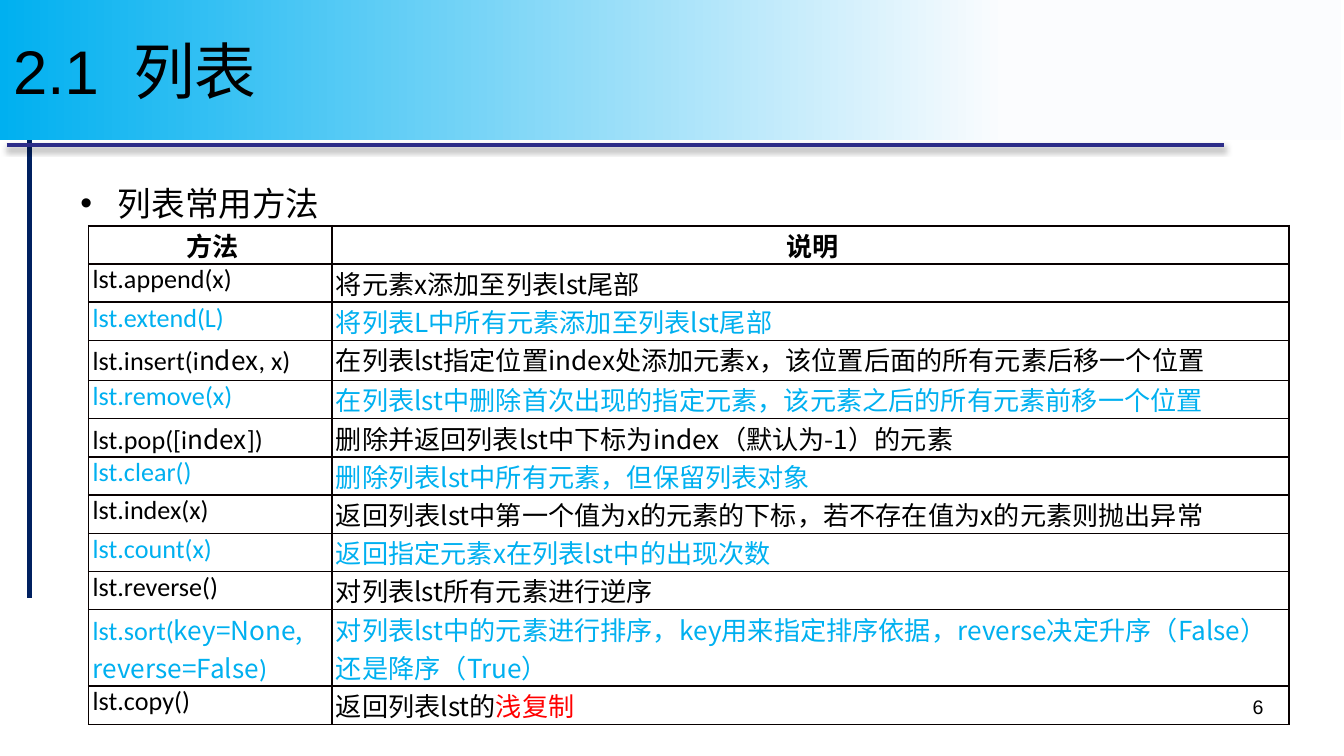
from dataclasses import dataclass
from typing import NamedTuple

from lxml import etree
from pptx import Presentation
from pptx.dml.color import RGBColor
from pptx.enum.shapes import MSO_CONNECTOR, MSO_SHAPE
from pptx.enum.text import MSO_ANCHOR, PP_ALIGN
from pptx.oxml.ns import qn
from pptx.util import Emu, Inches, Pt

LEFT, CENTER, RIGHT = PP_ALIGN.LEFT, PP_ALIGN.CENTER, PP_ALIGN.RIGHT
TOP, MIDDLE = MSO_ANCHOR.TOP, MSO_ANCHOR.MIDDLE
RECTANGLE, STRAIGHT = MSO_SHAPE.RECTANGLE, MSO_CONNECTOR.STRAIGHT


@dataclass(frozen=True)
class Theme:
    """Colours, fonts and type sizes of the slide."""

    ink: str = "000000"
    accent: str = "00B0F0"
    warning: str = "FF0000"
    pale: str = "FBFCFE"
    navy: str = "002060"
    rule: str = "2D2D89"
    border: str = "080000"
    sans: str = "Arial"
    code: str = "Calibri"
    cjk: str = "Noto Sans CJK SC"
    title_size: float = 33
    body_size: float = 18
    table_size: float = 14
    number_size: float = 10.5


class Box(NamedTuple):
    """A rectangle in inches."""

    left: float
    top: float
    width: float
    height: float


class Span(NamedTuple):
    """A piece of text with its font and an optional colour of its own."""

    text: str
    font: str
    color: str | None = None


class Method(NamedTuple):
    """A table row: the call, its explanation and its height in text lines."""

    call: tuple[Span, ...]
    meaning: tuple[Span, ...]
    lines: float = 1


class Rule(NamedTuple):
    """A straight line in inches."""

    start: tuple[float, float]
    end: tuple[float, float]
    color: str
    shadow: bool = False


THEME = Theme()
SLIDE_WIDTH = 10
SLIDE_HEIGHT = SLIDE_WIDTH * 9 / 16
TITLE_BOX = Box(0, 0, 9.98, 1.04)
BODY_BOX = Box(0.5, 1.31, 9, 3.71)
TABLE_BOX = Box(0.66, 1.68, 8.93, 3.71)
NUMBER_BOX = Box(7.17, 5.12, 2.33, 0.39)
COLUMNS = (1.81, 7.12)
RULES = (
    Rule((0.22, 0.81), (0.22, 4.45), THEME.navy),
    Rule((0.05, 1.08), (9.11, 1.08), THEME.rule, shadow=True),
)


def code(text: str) -> Span:
    """Return a span in the code font."""
    return Span(text, THEME.code)


def plain(text: str, color: str | None = None) -> Span:
    """Return a span in the Chinese font."""
    return Span(text, THEME.cjk, color)


METHODS = (
    Method((plain("方法"),), (plain("说明"),)),
    Method((code("lst.append(x)"),), (plain("将元素x添加至列表lst尾部"),)),
    Method((code("lst.extend(L)"),), (plain("将列表L中所有元素添加至列表lst尾部"),)),
    Method((code("lst.insert(i"), plain("ndex"), code(", x)")),
           (plain("在列表lst指定位置index处添加元素x，该位置后面的所有元素后移一个位置"),), 1.05),
    Method((code("lst.remove(x)"),),
           (plain("在列表lst中删除首次出现的指定元素，该元素之后的所有元素前移一个位置"),)),
    Method((code("lst.pop([i"), plain("ndex"), code("])")),
           (plain("删除并返回列表lst中下标为index（默认为-1）的元素"),)),
    Method((code("lst.clear()"),), (plain("删除列表lst中所有元素，但保留列表对象"),)),
    Method((code("lst.index(x)"),),
           (plain("返回列表lst中第一个值为x的元素的下标，若不存在值为x的元素则抛出异常"),)),
    Method((code("lst.count(x)"),), (plain("返回指定元素x在列表lst中的出现次数"),)),
    Method((code("lst.reverse()"),), (plain("对列表lst所有元素进行逆序"),)),
    Method((code("lst.sort("), plain("key=None, reverse=False"), code(")")),
           (plain("对列表lst中的元素进行排序，key用来指定排序依据，"
                  "reverse决定升序（False）还是降序（True）"),), 2),
    Method((code("lst.copy()"),), (plain("返回列表lst的"), plain("浅复制", THEME.warning))),
)


def place(box: Box) -> tuple[Emu, ...]:
    """Convert a box to slide lengths."""
    return tuple(Inches(length) for length in box)


def write(frame, spans: tuple[Span, ...], size: float, color: str = THEME.ink,
          align=LEFT, bold: bool = False):
    """Write spans into the first paragraph of a text frame and return it."""
    para = frame.paragraphs[0]
    para.alignment = align
    para.font.size = Pt(size)
    para.font.bold = bold
    para.font.color.rgb = RGBColor.from_string(color)
    for span in spans:
        run = para.add_run()
        run.text = span.text
        run.font.name = span.font
        if span.color:
            run.font.color.rgb = RGBColor.from_string(span.color)
        etree.SubElement(run.font._element, qn("a:ea"), typeface=THEME.cjk)
    return para


def draw_rule(page, rule: Rule) -> None:
    """Draw a line, with a soft shadow if it has one."""
    points = (Inches(length) for length in rule.start + rule.end)
    line = page.shapes.add_connector(STRAIGHT, *points)
    line.line.color.rgb = RGBColor.from_string(rule.color)
    line.line.width = Pt(2.25)
    effects = etree.SubElement(line._element.spPr, qn("a:effectLst"))
    if rule.shadow:
        shadow = etree.SubElement(effects, qn("a:outerShdw"), blurRad=str(Pt(3.1)),
                                  dist=str(Pt(1.8)), dir="5400000", rotWithShape="0")
        tint = etree.SubElement(shadow, qn("a:srgbClr"), val=THEME.ink)
        etree.SubElement(tint, qn("a:alpha"), val="35000")


def draw_title(page, text: str) -> None:
    """Draw the title band with its gradient."""
    band = page.shapes.add_shape(RECTANGLE, *place(TITLE_BOX))
    band.shadow.inherit = False
    band.line.fill.background()
    band.fill.gradient()
    band.fill.gradient_angle = 180
    stops = ((0.25, THEME.pale), (1, THEME.accent))
    for stop, (position, color) in zip(band.fill.gradient_stops, stops):
        stop.position = position
        stop.color.rgb = RGBColor.from_string(color)
    band.text_frame.vertical_anchor = MIDDLE
    write(band.text_frame, (Span(text, THEME.sans),), THEME.title_size)


def draw_text(page, box: Box, text: str, size: float, align=LEFT):
    """Draw a text box and return its paragraph."""
    frame = page.shapes.add_textbox(*place(box)).text_frame
    frame.word_wrap = True
    frame.vertical_anchor = TOP
    return write(frame, (Span(text, THEME.sans),), size, align=align)


def add_bullet(para) -> None:
    """Give a paragraph a hanging bullet."""
    para.space_before = Pt(2.7)
    properties = para._p.get_or_add_pPr()
    properties.set("marL", str(Inches(0.28)))
    properties.set("indent", str(-Inches(0.28)))
    defaults = properties.find(qn("a:defRPr"))
    defaults.addprevious(etree.Element(qn("a:buFont"), typeface=THEME.sans))
    defaults.addprevious(etree.Element(qn("a:buChar"), char="•"))


def style_cell(cell) -> None:
    """Clear a cell's fill and give it tight margins and thin borders."""
    cell.margin_left = Inches(0.03)
    cell.margin_top = cell.margin_right = cell.margin_bottom = 0
    properties = cell._tc.get_or_add_tcPr()
    for side in ("a:lnL", "a:lnR", "a:lnT", "a:lnB"):
        edge = etree.SubElement(properties, qn(side), w=str(Pt(1)))
        paint = etree.SubElement(edge, qn("a:solidFill"))
        etree.SubElement(paint, qn("a:srgbClr"), val=THEME.border)
    cell.fill.background()


def draw_table(page) -> None:
    """Draw the table of methods, every second one in the accent colour."""
    table = page.shapes.add_table(len(METHODS), len(COLUMNS), *place(TABLE_BOX)).table
    line_height = TABLE_BOX.height / sum(method.lines for method in METHODS)
    for column, width in zip(table.columns, COLUMNS):
        column.width = Inches(width)
    for index, (row, method) in enumerate(zip(table.rows, METHODS)):
        row.height = Inches(method.lines * line_height)
        header = index == 0
        color = THEME.ink if header or index % 2 else THEME.accent
        for cell, spans in zip(row.cells, (method.call, method.meaning)):
            style_cell(cell)
            write(cell.text_frame, spans, THEME.table_size, color,
                  CENTER if header else LEFT, header)


def main() -> None:
    """Build and save the slide."""
    deck = Presentation()
    deck.slide_width, deck.slide_height = Inches(SLIDE_WIDTH), Inches(SLIDE_HEIGHT)
    page = deck.slides.add_slide(deck.slide_layouts[6])
    for rule in RULES:
        draw_rule(page, rule)
    add_bullet(draw_text(page, BODY_BOX, "列表常用方法", THEME.body_size))
    draw_title(page, "2.1  列表")
    draw_table(page)
    draw_text(page, NUMBER_BOX, "6", THEME.number_size, RIGHT)
    deck.save("out.pptx")


if __name__ == "__main__":
    main()
